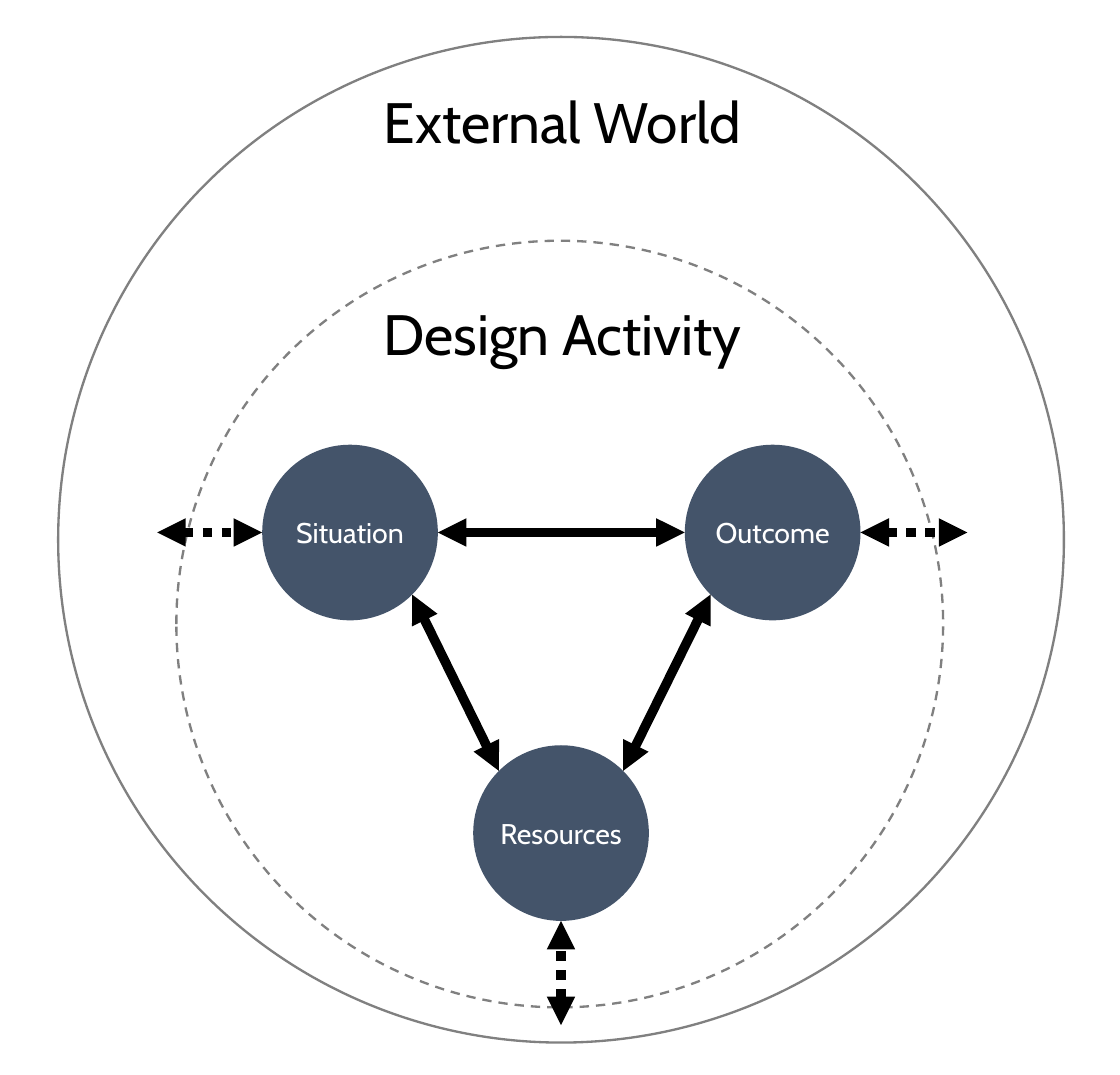
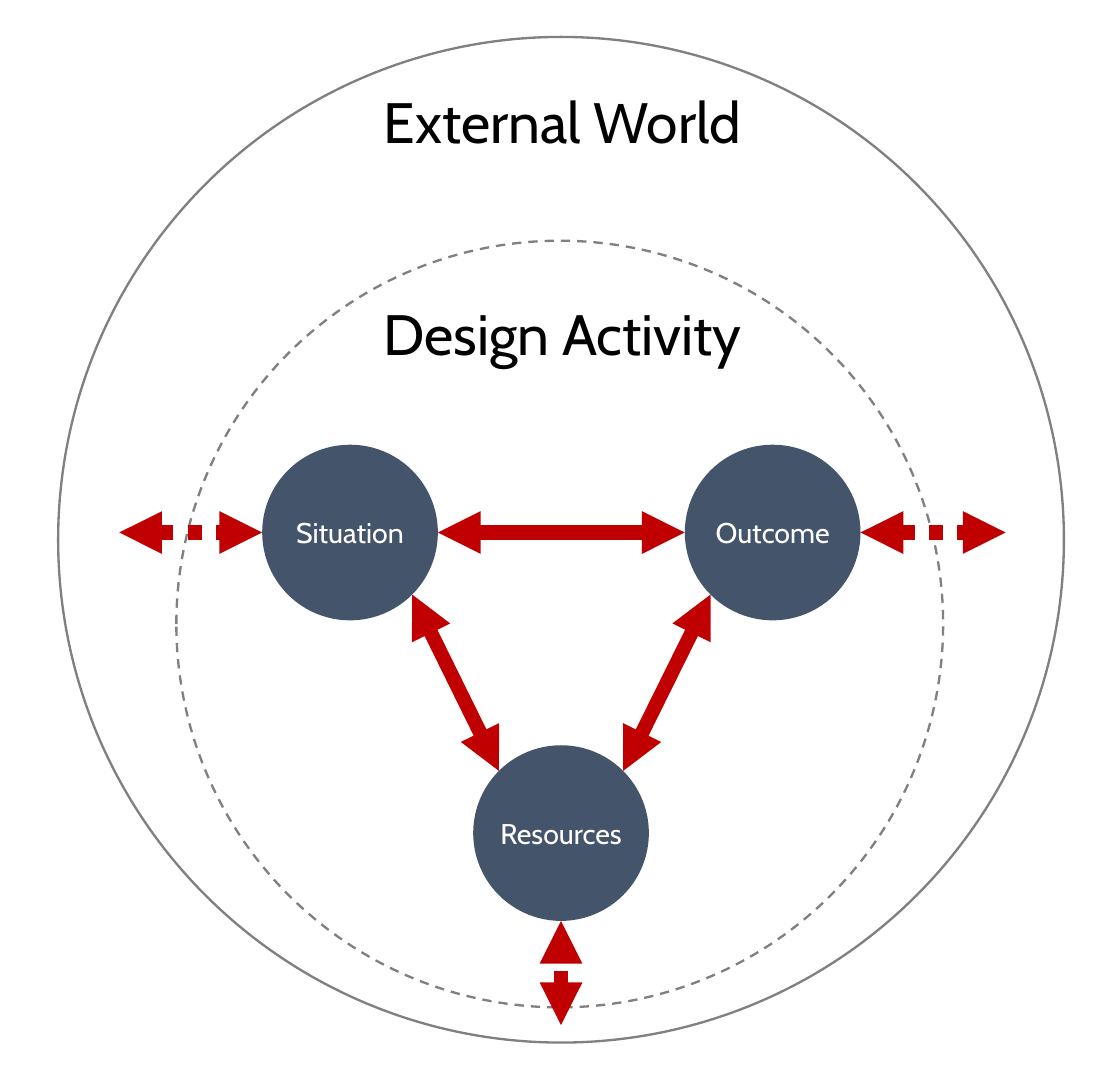
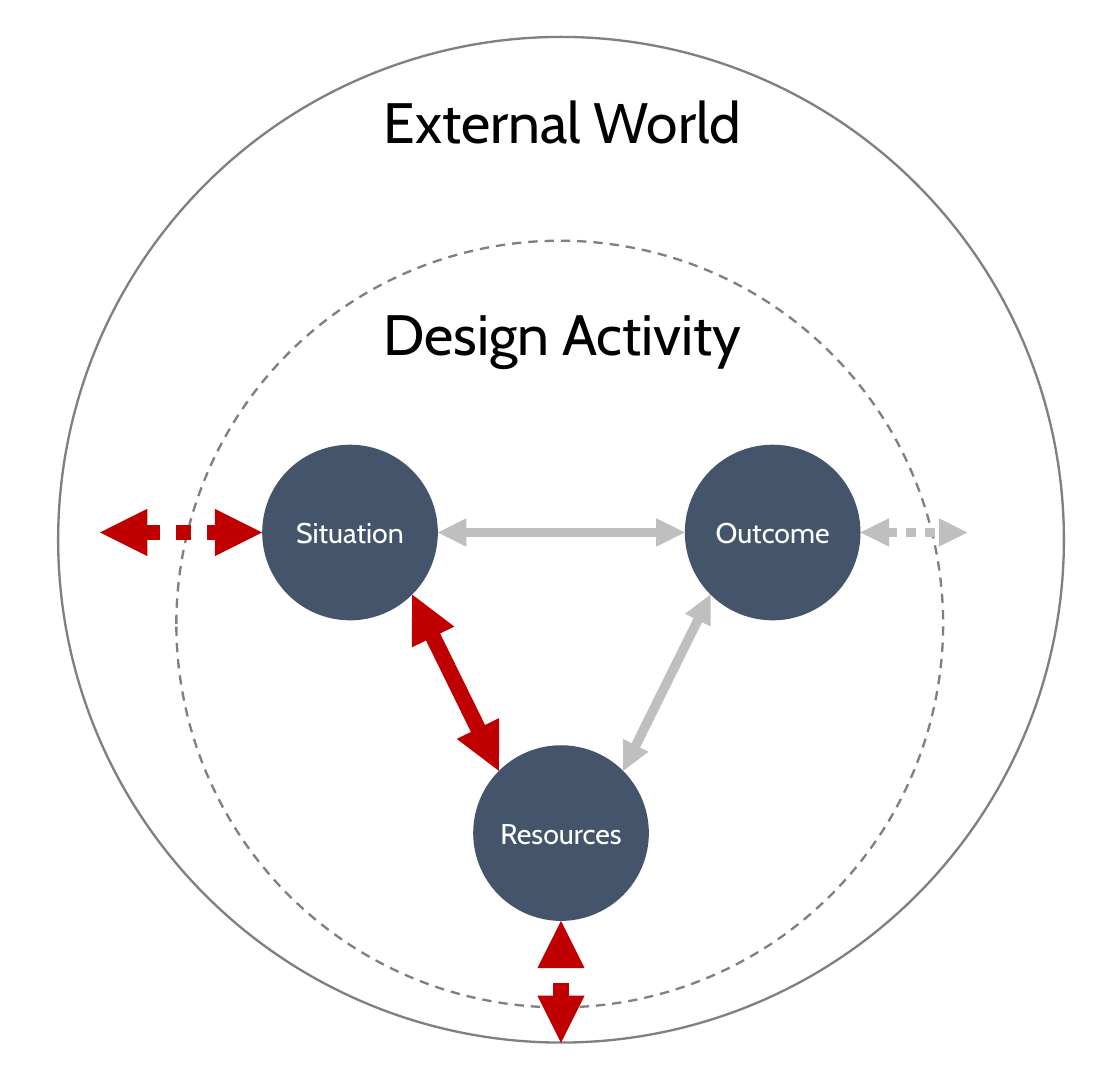
from collections import namedtuple
from math import sqrt

from lxml.etree import SubElement
from pptx import Presentation
from pptx.dml.color import RGBColor
from pptx.enum.dml import MSO_LINE
from pptx.enum.shapes import MSO_CONNECTOR, MSO_SHAPE
from pptx.enum.text import MSO_ANCHOR, MSO_AUTO_SIZE, PP_ALIGN
from pptx.oxml.ns import qn
from pptx.util import Pt

BLACK = RGBColor(0x00, 0x00, 0x00)
WHITE = RGBColor(0xFF, 0xFF, 0xFF)
SLATE = RGBColor(0x44, 0x54, 0x6A)
GREY = RGBColor(0x80, 0x80, 0x80)
PALE_GREY = RGBColor(0xBF, 0xBF, 0xBF)
RED = RGBColor(0xC0, 0x00, 0x00)
FONT = "Cabin"

POINTS_PER_MM = 72 / 25.4
SLIDE_WIDTH, SLIDE_HEIGHT = 125 * POINTS_PER_MM, 120 * POINTS_PER_MM
WORLD_LEFT, WORLD_TOP, WORLD_SIZE = 18.4, 11.7, 318.2
ACTIVITY_SIZE = 242.6
NODE_RADIUS = 27.8
NODES = {"Situation": (-66.75, 156.8), "Outcome": (66.95, 156.8), "Resources": (0, 251.9)}
OUTWARD = {"Situation": (-1, 0), "Resources": (0, 1), "Outcome": (1, 0)}
LABELS = {"External World": 12.1, "Design Activity": 79.3}
LABEL_WIDTH, LABEL_HEIGHT = 132.5, 28.8

Stroke = namedtuple("Stroke", "color width")
PLAIN = Stroke(BLACK, 3)
STRONG = Stroke(RED, 4.5)
FOCUS = Stroke(RED, 5)
MUTED = Stroke(PALE_GREY, 3)

Link = namedtuple("Link", "stroke reach")
DIAGRAMS = [
    {
        "across": PLAIN, "left": PLAIN, "right": PLAIN,
        "Situation": Link(PLAIN, 33.2), "Resources": Link(PLAIN, 33), "Outcome": Link(PLAIN, 33.8),
    },
    {
        "across": STRONG, "left": STRONG, "right": STRONG,
        "Situation": Link(STRONG, 45.2), "Resources": Link(STRONG, 33), "Outcome": Link(STRONG, 45.9),
    },
    {
        "across": MUTED, "left": FOCUS, "right": MUTED,
        "Situation": Link(FOCUS, 51.3), "Resources": Link(FOCUS, 38.6), "Outcome": Link(MUTED, 33.8),
    },
]


def set_text(shape, text, size, color):
    """Write one centred, unwrapped line into a shape."""
    frame = shape.text_frame
    frame.word_wrap = False
    frame.text = text
    paragraph = frame.paragraphs[0]
    paragraph.alignment = PP_ALIGN.CENTER
    paragraph.font.name = FONT
    paragraph.font.size = Pt(size)
    paragraph.font.color.rgb = color
    return frame


def add_circle(slide, left, top, size):
    """Add a circle without a shadow."""
    circle = slide.shapes.add_shape(MSO_SHAPE.OVAL, Pt(left), Pt(top), Pt(size), Pt(size))
    circle.shadow.inherit = False
    return circle


def add_boundary(slide, left, top, size, dash=None):
    """Add an unfilled circle that bounds a region."""
    boundary = add_circle(slide, left, top, size)
    boundary.fill.background()
    boundary.line.color.rgb = GREY
    boundary.line.width = Pt(0.75)
    if dash:
        boundary.line.dash_style = dash


def add_node(slide, text, center_x, center_y):
    """Add a filled circle with its name."""
    node = add_circle(slide, center_x - NODE_RADIUS, center_y - NODE_RADIUS, 2 * NODE_RADIUS)
    node.fill.solid()
    node.fill.fore_color.rgb = SLATE
    node.line.fill.background()
    frame = set_text(node, text, 9, WHITE)
    frame.vertical_anchor = MSO_ANCHOR.MIDDLE
    frame.margin_left = frame.margin_right = 0


def add_label(slide, text, center_x, top):
    """Add a region name centred on an axis."""
    label = slide.shapes.add_textbox(
        Pt(center_x - LABEL_WIDTH / 2), Pt(top), Pt(LABEL_WIDTH), Pt(LABEL_HEIGHT)
    )
    set_text(label, text, 18, BLACK).auto_size = MSO_AUTO_SIZE.SHAPE_TO_FIT_TEXT


def add_arrow(slide, start, end, stroke, dash=None):
    """Add a straight line with a triangle at both ends."""
    arrow = slide.shapes.add_connector(
        MSO_CONNECTOR.STRAIGHT, *(Pt(value) for value in (*start, *end))
    )
    arrow.line.color.rgb = stroke.color
    arrow.line.width = Pt(stroke.width)
    if dash:
        arrow.line.dash_style = dash
    properties = arrow._element.spPr
    outline = properties.find(qn("a:ln"))
    for tag in ("a:headEnd", "a:tailEnd"):
        SubElement(outline, qn(tag), type="triangle")
    SubElement(properties, qn("a:effectLst"))


def rim(center, direction, distance=NODE_RADIUS):
    """Return the point at a distance from a centre in a direction."""
    return tuple(value + step * distance for value, step in zip(center, direction))


def draw_diagram(slide, left, top, size, links):
    """Draw the nested regions, nodes and arrows in a square box."""
    axis = left + size / 2
    centers = {name: (axis + x, top + y) for name, (x, y) in NODES.items()}
    situation, outcome, resources = centers.values()
    diagonal = 1 / sqrt(2)

    add_boundary(slide, axis - ACTIVITY_SIZE / 2 - 0.4, top + 64.5, ACTIVITY_SIZE, MSO_LINE.DASH)
    for name, center in centers.items():
        add_node(slide, name, *center)
    add_boundary(slide, left, top, size)

    add_arrow(slide, rim(situation, (1, 0)), rim(outcome, (-1, 0)), links["across"])
    for key, center, side in (("left", situation, 1), ("right", outcome, -1)):
        start = rim(center, (side * diagonal, diagonal))
        end = rim(resources, (-side * diagonal, -diagonal))
        add_arrow(slide, start, end, links[key])
    for name, direction in OUTWARD.items():
        stroke, reach = links[name]
        start = rim(centers[name], direction, NODE_RADIUS + reach)
        end = rim(centers[name], direction)
        if name == "Outcome":
            start, end = end, start
        add_arrow(slide, start, end, stroke, MSO_LINE.ROUND_DOT)

    for text, offset in LABELS.items():
        add_label(slide, text, axis + 0.5, top + offset)


def main():
    """Build and save the presentation."""
    presentation = Presentation()
    presentation.slide_width = Pt(SLIDE_WIDTH)
    presentation.slide_height = Pt(SLIDE_HEIGHT)
    blank_layout = presentation.slide_layouts[6]
    for links in DIAGRAMS:
        slide = presentation.slides.add_slide(blank_layout)
        draw_diagram(slide, WORLD_LEFT, WORLD_TOP, WORLD_SIZE, links)
    presentation.save("out.pptx")


if __name__ == "__main__":
    main()
